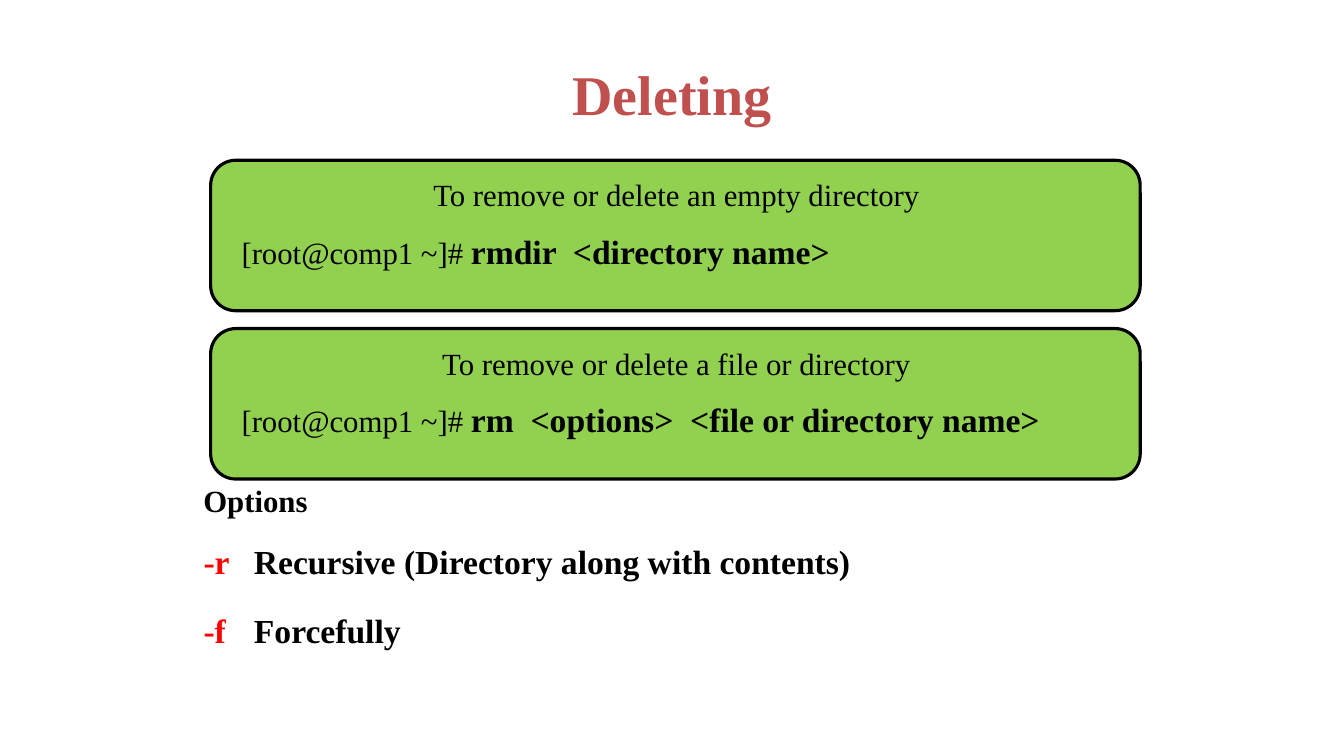
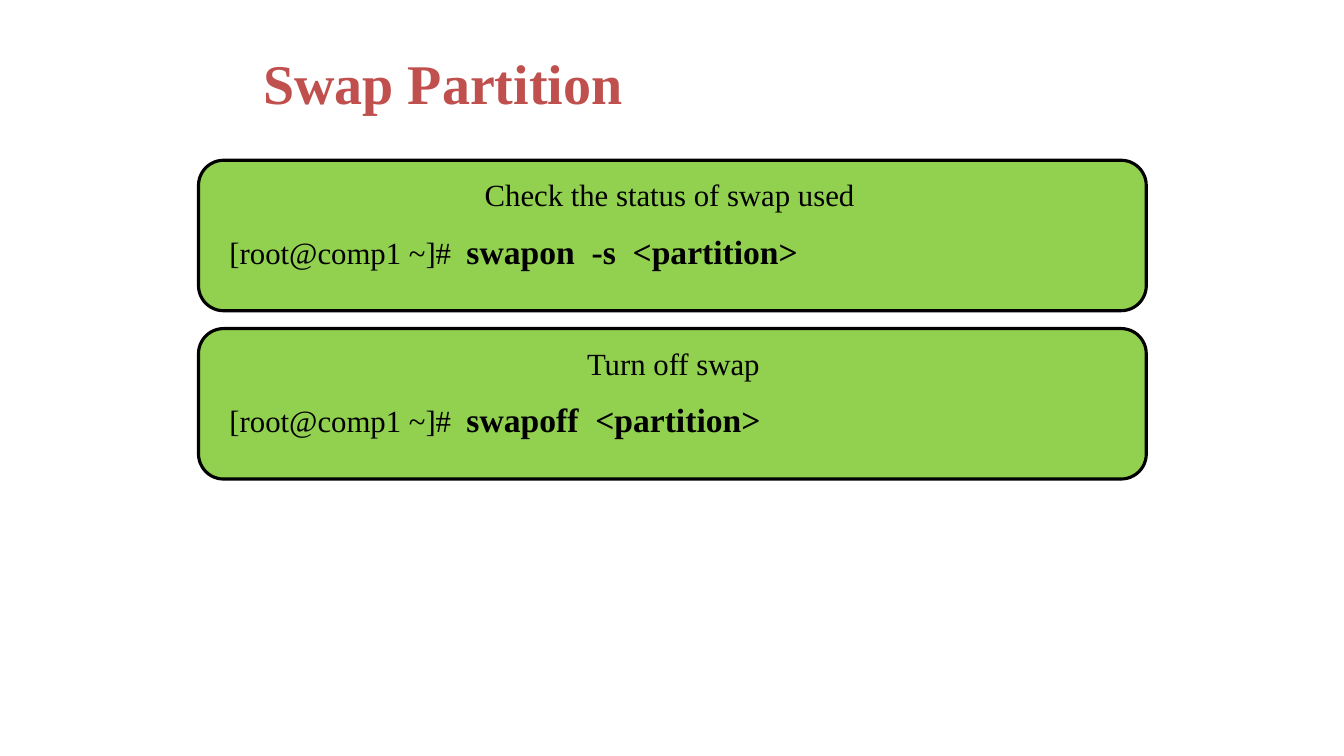
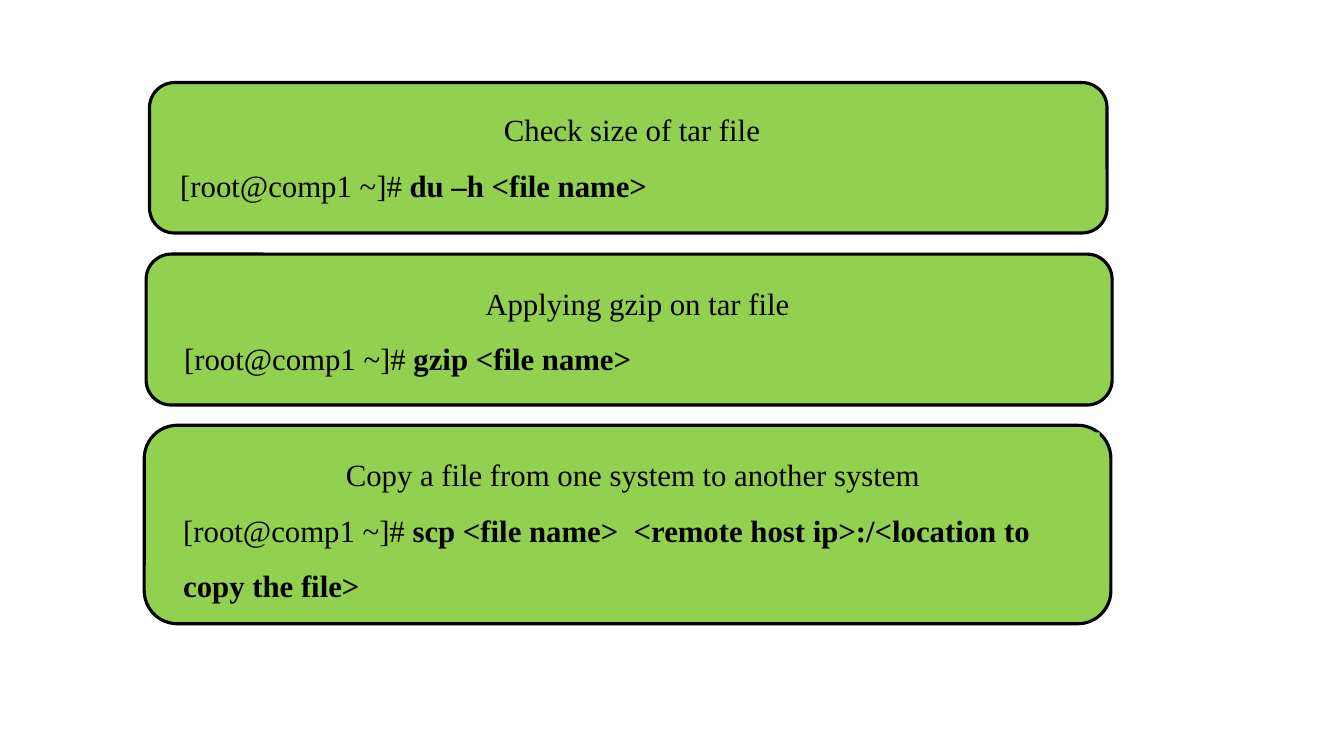
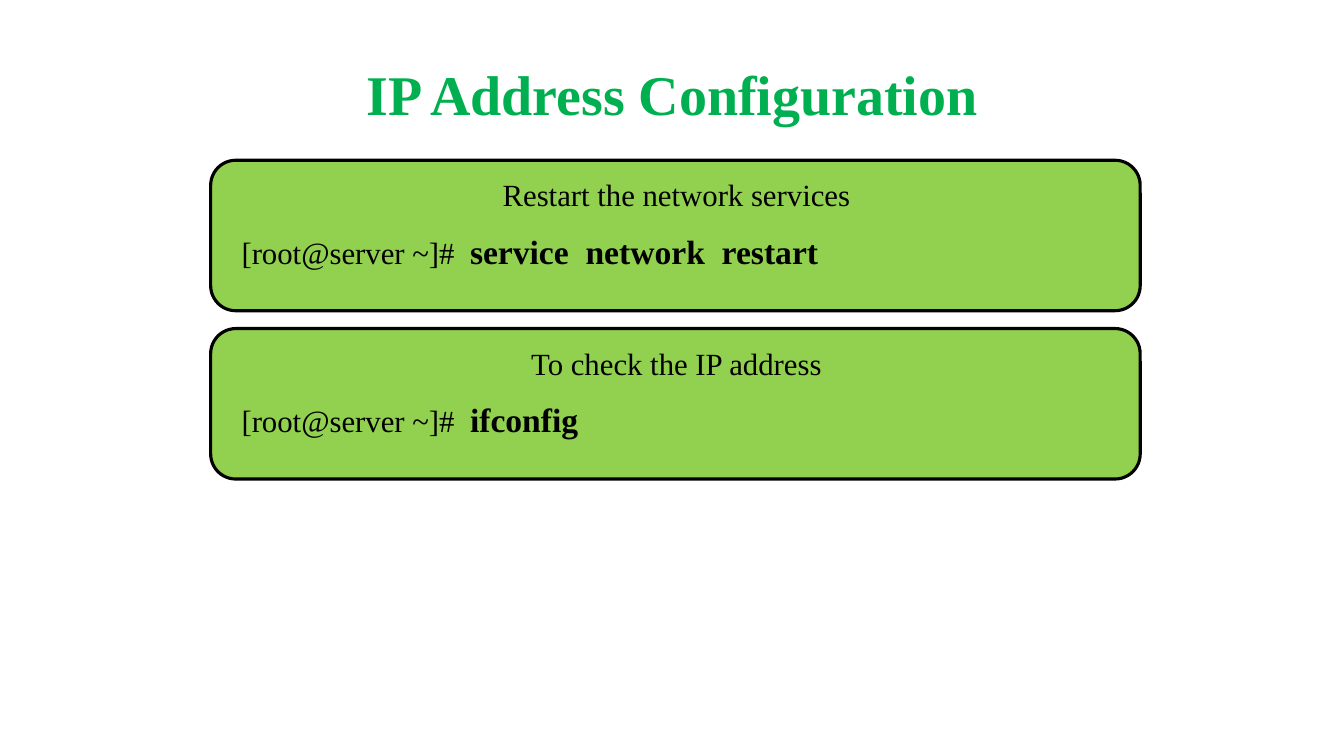
"""Build four slides of shell command cards."""
from dataclasses import dataclass

from lxml import etree
from pptx import Presentation
from pptx import util as u
from pptx.dml.color import RGBColor
from pptx.enum import shapes, text
from pptx.oxml.ns import qn

HUES = {"card": "92D050", "ink": "000000", "title": "C0504D",
        "net": "00B050", "flag": "FF0000"}
FACE = "Times New Roman"
SHAPE = shapes.MSO_SHAPE
ALIGN = text.PP_ALIGN
FIT = text.MSO_AUTO_SIZE


@dataclass
class Box:
    x: float
    y: float
    w: float
    h: float


@dataclass
class Card:
    head: str
    host: str
    code: str


@dataclass
class Topic:
    name: str
    hue: str
    title: Box
    left: float
    wide: float
    cards: list[Card]


@dataclass
class Tall:
    box: Box
    body: Box
    card: Card


WIDE = Box(48, 21.6, 864, 90)
COMP = "[root@comp1 ~]# "
SERVER = "[root@server ~]#  "
TOPICS = {
    "delete": Topic("Deleting", "title", WIDE, 150.5, 664, [
        Card("To remove or delete an empty directory", COMP,
             "rmdir  <directory name>"),
        Card("To remove or delete a file or directory", COMP,
             "rm  <options>  <file or directory name>")]),
    "swap": Topic("Swap Partition", "title", Box(76.3, 30.2, 480, 56.2), 141.8, 677, [
        Card("Check the status of swap used ", COMP + " ",
             "swapon  -s  <partition>"),
        Card("Turn off swap", COMP + " ", "swapoff  <partition>")]),
    "net": Topic("IP Address Configuration", "net", WIDE, 150.5, 664, [
        Card("Restart the network services", SERVER, "service  network  restart"),
        Card("To check the IP address", SERVER, "ifconfig")]),
}
FILES = [
    Tall(Box(106.8, 59, 684, 107.5), Box(121.7, 62.6, 659.5, 87),
         Card("Check size of tar file", COMP, "du –h <file name>")),
    Tall(Box(104.4, 181.5, 690, 107.8), Box(124.4, 186.5, 661.7, 87),
         Card("Applying gzip on tar file", COMP, "gzip <file name>")),
    Tall(Box(103, 303.8, 690.5, 141.8), Box(123.8, 308.9, 661.7, 127.4),
         Card("Copy a file from one system to another system ", COMP,
              "scp <file name>  <remote host ip>:/<location to copy the file>")),
]
FLAGS = [("-r", "Recursive (Directory along with contents)"), ("-f", "Forcefully")]


def ink(font, size: float, hue: str = "ink", bold: bool = False) -> None:
    font.name, font.size, font.bold = FACE, u.Pt(size), bold
    font.color.rgb = RGBColor.from_string(HUES[hue])


def place(shape, box: Box) -> None:
    shape.left, shape.top = u.Pt(box.x), u.Pt(box.y)
    shape.width, shape.height = u.Pt(box.w), u.Pt(box.h)


def panel(group, kind, box: Box, edge: bool = False):
    shape = group.shapes.add_shape(
        kind, u.Pt(box.x), u.Pt(box.y), u.Pt(box.w), u.Pt(box.h))
    shape.shadow.inherit = False
    shape.fill.solid()
    shape.fill.fore_color.rgb = RGBColor.from_string(HUES["card"])
    if edge:
        shape.line.color.rgb = RGBColor.from_string(HUES["ink"])
        shape.line.width = u.Pt(2.25)
    else:
        shape.line.fill.background()
    return shape


def label(group, box: Box):
    frame = panel(group, SHAPE.RECTANGLE, box).text_frame
    frame.word_wrap = True
    frame.auto_size = FIT.SHAPE_TO_FIT_TEXT
    frame.vertical_anchor = text.MSO_ANCHOR.TOP
    return frame


def head(para, card: Card) -> None:
    para.text = card.head
    para.alignment = ALIGN.CENTER
    ink(para.font, 22)


def code(para, card: Card, size: float) -> None:
    para.alignment = ALIGN.LEFT
    for words, pts, bold in ((card.host, 22, False), (card.code, size, True)):
        run = para.add_run()
        run.text = words
        ink(run.font, pts, bold=bold)


def titled(slide, topic: Topic) -> None:
    title = slide.shapes.title
    place(title, topic.title)
    frame = title.text_frame
    frame.text = topic.name
    frame.vertical_anchor = text.MSO_ANCHOR.MIDDLE
    para = frame.paragraphs[0]
    para.alignment = ALIGN.CENTER
    ink(para.font, 40, topic.hue, True)


def stack(slide, topic: Topic) -> None:
    titled(slide, topic)
    x, wide = topic.left, topic.wide - 27.5
    for i, card in enumerate(topic.cards):
        y = 114.5 + 120.2 * i
        group = slide.shapes.add_group_shape()
        panel(group, SHAPE.ROUNDED_RECTANGLE, Box(x, y, topic.wide, 107.5), True)
        head(label(group, Box(x + 14.4, y + 7.7, wide, 34)).paragraphs[0], card)
        para = label(group, Box(x + 15, y + 45.4, wide, 37.4)).paragraphs[0]
        para.line_spacing = u.Pt(30)
        code(para, card, 24)


def tower(slide, tall: Tall) -> None:
    group = slide.shapes.add_group_shape()
    panel(group, SHAPE.ROUNDED_RECTANGLE, tall.box, True)
    frame = label(group, tall.body)
    top, low = frame.paragraphs[0], frame.add_paragraph()
    top.line_spacing = low.line_spacing = 1.5
    head(top, tall.card)
    code(low, tall.card, 22)


def flags(slide) -> None:
    body = slide.placeholders[1]
    place(body, Box(138.2, 368, 678, 103.7))
    frame = body.text_frame
    frame.auto_size = FIT.NONE
    for i, (flag, words) in enumerate(FLAGS):
        para = frame.add_paragraph() if i else frame.paragraphs[0]
        para.alignment = ALIGN.JUSTIFY
        para.line_spacing = 1.5
        para.space_before = u.Pt(6.5 if i else 0)
        props = para._p.get_or_add_pPr()
        props.set("marL", "0")
        props.set("indent", "0")
        etree.SubElement(props, qn("a:buNone"))
        tabs = etree.SubElement(props, qn("a:tabLst"))
        etree.SubElement(tabs, qn("a:tab"), pos=str(u.Pt(63)), algn="l")
        for part, hue in ((flag + "\t", "flag"), (words, "ink")):
            run = para.add_run()
            run.text = part
            ink(run.font, 24, hue, True)
    note = slide.shapes.add_textbox(u.Pt(138.2), u.Pt(340.6), u.Pt(112.3), u.Pt(34))
    note.text_frame.word_wrap = True
    para = note.text_frame.paragraphs[0]
    para.text = "Options"
    ink(para.font, 22, bold=True)


def main() -> None:
    deck = Presentation()
    deck.slide_width, deck.slide_height = u.Pt(960), u.Pt(540)
    lists, plain, blank = (deck.slide_layouts[i] for i in (1, 5, 6))
    first = deck.slides.add_slide(lists)
    stack(first, TOPICS["delete"])
    flags(first)
    stack(deck.slides.add_slide(plain), TOPICS["swap"])
    third = deck.slides.add_slide(blank)
    for tall in FILES:
        tower(third, tall)
    stack(deck.slides.add_slide(plain), TOPICS["net"])
    deck.save("out.pptx")


if __name__ == "__main__":
    main()
